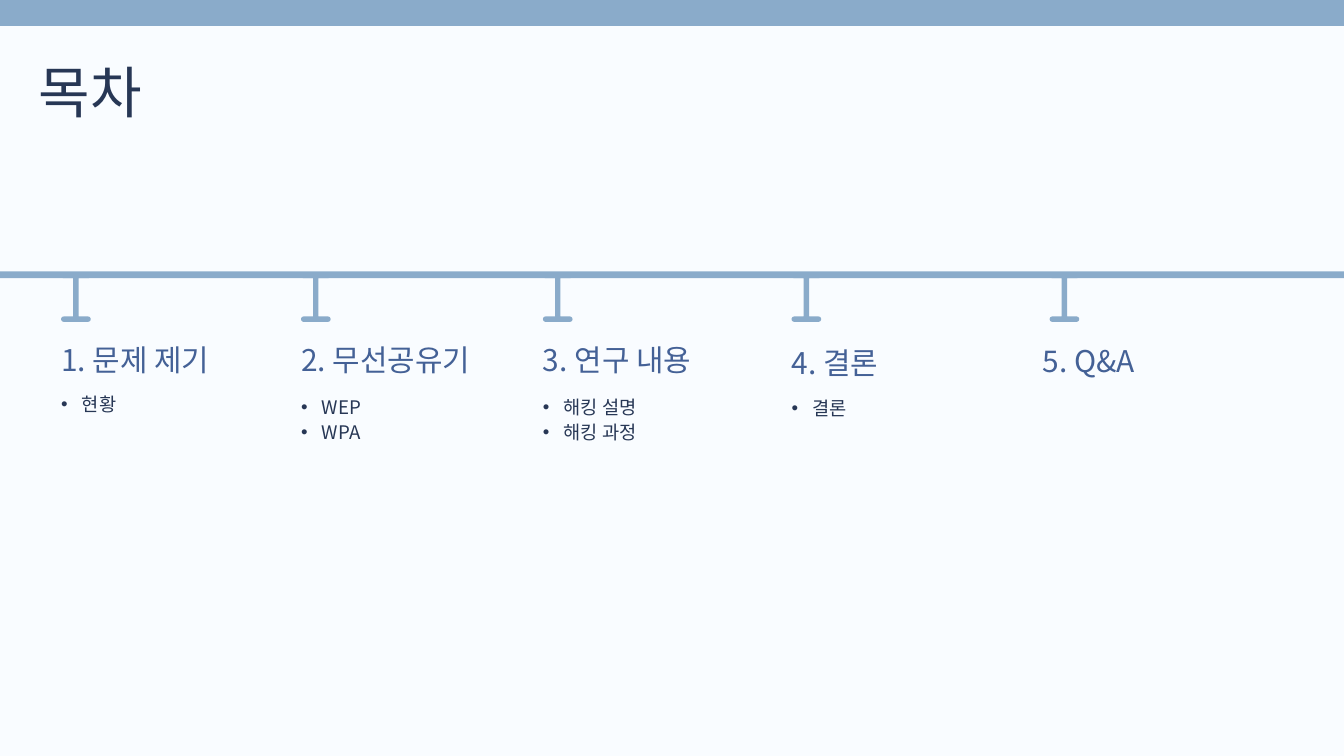
from math import cos, pi, sin

from lxml import etree
from pptx import Presentation
from pptx.dml.color import RGBColor
from pptx.enum.shapes import MSO_SHAPE
from pptx.oxml.ns import qn
from pptx.util import Pt

PX = 9144  # 100 px to the inch
WIDE, HIGH = 2000, 1125
RECT = MSO_SHAPE.RECTANGLE
FONT = "Noto Sans CJK KR"
BLUE = RGBColor(0x8A, 0xAB, 0xCA)
PALE = RGBColor(0xF9, 0xFC, 0xFF)
NAVY = RGBColor(0x27, 0x37, 0x55)
INK = RGBColor(0x44, 0x61, 0x96)

# left edge, heading shift and top, heading, list top, list items
STEPS = [
    (91, 0, 512, "1. 문제 제기", 581, ["현황"]),
    (448, 0, 512, "2. 무선공유기", 585, ["WEP", "WPA"]),
    (808, 0, 512, "3. 연구 내용", 585, ["해킹 설명", "해킹 과정"]),
    (1178, 0, 516, "4. 결론", 586, ["결론"]),
    (1562, -10, 513, "5. Q&A", 0, []),
]


def emu(*sizes):
    return [round(size * PX) for size in sizes]


def paint(shape, color):
    shape.shadow.inherit = False
    shape.fill.solid()
    shape.fill.fore_color.rgb = color
    shape.line.fill.background()


def add_bar(slide, box, color):
    paint(slide.shapes.add_shape(RECT, *emu(*box)), color)


def add_text(slide, box, lines, size=20, lead=27, color=NAVY, dots=False):
    frame = slide.shapes.add_textbox(*emu(*box)).text_frame
    frame.word_wrap = True
    frame.margin_left = frame.margin_right = 0
    frame.margin_top = frame.margin_bottom = 0
    frame.text = "\n".join(lines)
    for para in frame.paragraphs:
        para.line_spacing = Pt(lead)
        font = para.runs[0].font
        font.size = Pt(size)
        font.name = FONT
        font.color.rgb = color
        # East Asian typeface
        props = para.runs[0].font._element
        etree.SubElement(props, qn("a:ea")).set("typeface", FONT)
        if dots:
            props = para._p.get_or_add_pPr()
            props.set("marL", str(31 * PX))
            props.set("indent", str(-31 * PX))
            etree.SubElement(props, qn("a:buFont")).set("typeface", "Arial")
            etree.SubElement(props, qn("a:buChar")).set("char", "•")


def add_stem(slide, box):
    """Draw an upright beam with a round-ended foot at top and bottom."""
    left, top, width, height = box
    rad, half = 4, 4
    mid = left + width / 2

    def cap(x, y, start):
        turns = [start + step * pi / 8 for step in range(9)]
        return [(x + rad * cos(t), y + rad * sin(t)) for t in turns]

    right, low = left + width, top + height
    dots = cap(right - rad, top + rad, -pi / 2)
    dots += [(mid + half, top + 2 * rad), (mid + half, low - 2 * rad)]
    dots += cap(right - rad, low - rad, -pi / 2)
    dots += cap(left + rad, low - rad, pi / 2)
    dots += [(mid - half, low - 2 * rad), (mid - half, top + 2 * rad)]
    dots += cap(left + rad, top + rad, pi / 2)
    dots = [emu(*dot) for dot in dots]
    path = slide.shapes.build_freeform(*dots[0])
    path.add_line_segments(dots[1:], close=True)
    paint(path.convert_to_shape(), BLUE)


def add_head(slide, box):
    left, top, width, height = box
    add_bar(slide, (left, top + 39, width, HIGH - 39), PALE)
    add_text(slide, (left + 58, top + 69, 1393, 109), ["목차"],
             size=60, lead=84)


def add_step(slide, left, shift, head_top, head, list_top, items):
    add_stem(slide, (left, 406, 44, 73))
    add_text(slide, (left + shift, head_top, 336, 50), [head],
             size=32, lead=36, color=INK)
    if items:
        add_text(slide, (left, list_top, 235, 37 * len(items)), items,
                 dots=True)


def main():
    deck = Presentation()
    deck.slide_width, deck.slide_height = emu(WIDE, HIGH)
    slide = deck.slides.add_slide(deck.slide_layouts[6])
    slide.background.fill.solid()
    slide.background.fill.fore_color.rgb = BLUE

    # Panel and title
    add_head(slide, (0, 0, WIDE, HIGH))

    # Timeline with its steps
    add_bar(slide, (0, 404, WIDE, 10), BLUE)
    for step in STEPS:
        add_step(slide, *step)
    deck.save("out.pptx")


if __name__ == "__main__":
    main()
